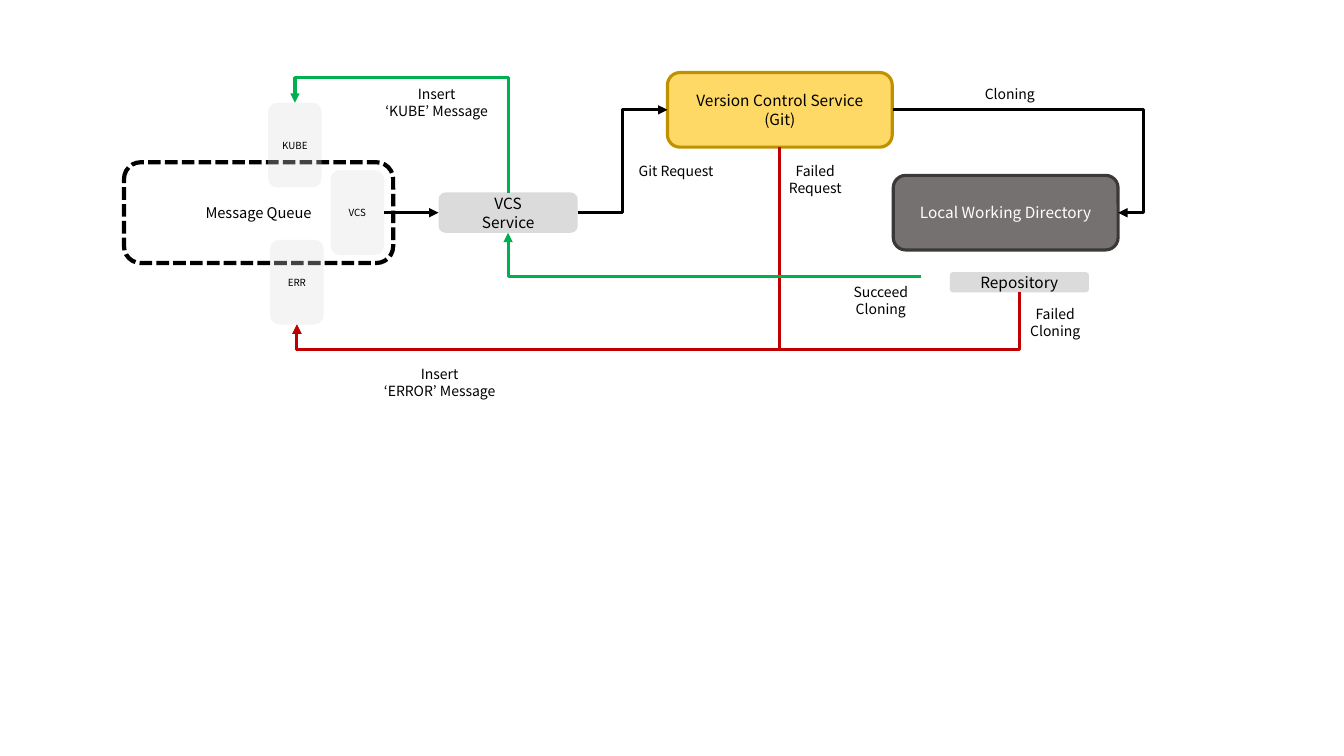
from dataclasses import dataclass

from lxml import etree
from pptx import Presentation
from pptx.dml.color import RGBColor
from pptx.enum.dml import MSO_LINE
from pptx.enum.shapes import MSO_CONNECTOR, MSO_SHAPE
from pptx.enum.text import MSO_ANCHOR, PP_ALIGN
from pptx.oxml.ns import qn
from pptx.util import Inches, Pt

ROUNDED = MSO_SHAPE.ROUNDED_RECTANGLE
STRAIGHT, ELBOW = MSO_CONNECTOR.STRAIGHT, MSO_CONNECTOR.ELBOW
DASH = MSO_LINE.SQUARE_DOT
MIDDLE, CENTER = MSO_ANCHOR.MIDDLE, PP_ALIGN.CENTER


@dataclass(frozen=True)
class Theme:
    font: str = "Noto Sans CJK KR"
    black: str = "000000"
    white: str = "FFFFFF"
    yellow: str = "FFD966"
    gold: str = "BF9000"
    grey: str = "DBDBDB"
    slate: str = "767171"
    charcoal: str = "3B3838"
    green: str = "00B050"
    red: str = "C00000"
    node: float = 11
    queue: float = 10.5
    label: float = 10
    lane: float = 7
    line: float = 2.25
    dashed: float = 3


@dataclass(frozen=True)
class Box:
    x: float
    y: float
    w: float
    h: float

    @property
    def right(self):
        return self.x + self.w, self.y + self.h / 2

    @property
    def left(self):
        return self.x, self.y + self.h / 2

    @property
    def top(self):
        return self.x + self.w / 2, self.y

    @property
    def bottom(self):
        return self.x + self.w / 2, self.y + self.h

    def inches(self):
        return [Inches(v) for v in (self.x, self.y, self.w, self.h)]


T = Theme()
OVERSHOOT = 0.25  # how far a looping arrow runs past its target

QUEUE = Box(1.23, 1.61, 2.67, 1)
SERVICE = Box(4.35, 1.91, 1.38, 0.4)
GIT = Box(6.62, 0.72, 2.23, 0.74)
STORAGE = Box(8.86, 1.74, 2.23, 1.16)

LABELS = [
    ("Cloning", Box(9.52, 0.73, 0.99, 0.4)),
    ("Failed Request", Box(7.59, 1.58, 0.99, 0.4)),
    ("Git Request", Box(6.15, 1.5, 1.11, 0.4)),
    ("Failed Cloning", Box(9.97, 3, 0.99, 0.4)),
    ("Succeed\nCloning", Box(8.24, 2.78, 0.99, 0.4)),
    ("Insert\n‘KUBE’ Message", Box(3.59, 0.82, 1.48, 0.4)),
    ("Insert\n‘ERROR’ Message", Box(3.62, 3.59, 1.48, 0.4)),
]


def rgb(color):
    return RGBColor.from_string(color)


def write(sp, text, size, color):
    tf = sp.text_frame
    tf.word_wrap = True
    tf.vertical_anchor = MIDDLE
    tf.text = text
    for p in tf.paragraphs:
        p.alignment = CENTER
        for r in p.runs:
            r.font.name = T.font
            r.font.size = Pt(size)
            r.font.color.rgb = rgb(color)


def add_node(s, box, text, size=T.node, color=T.black, fill=None, line=None, width=T.line):
    sp = s.shapes.add_shape(ROUNDED, *box.inches())
    sp.shadow.inherit = False
    if fill:
        sp.fill.solid()
        sp.fill.fore_color.rgb = rgb(fill)
    else:
        sp.fill.background()
    if line:
        sp.line.color.rgb = rgb(line)
        sp.line.width = Pt(width)
    else:
        sp.line.fill.background()
    write(sp, text, size, color)
    return sp


def add_lane(s, box, text):
    sp = add_node(s, box, text, T.lane, fill=T.grey)
    clr = sp._element.spPr.find(qn("a:solidFill"))[0]
    etree.SubElement(clr, qn("a:alpha")).set("val", "30000")
    return box


def add_arrow(s, kind, start, end, color):
    c = s.shapes.add_connector(kind, *(Inches(v) for v in (*start, *end)))
    c.line.color.rgb = rgb(color)
    c.line.width = Pt(T.line)
    etree.SubElement(c.line._get_or_add_ln(), qn("a:tailEnd")).set("type", "triangle")
    etree.SubElement(c._element.spPr, qn("a:effectLst"))
    return c


def set_bend(c, length):
    """Move the middle leg OVERSHOOT past the end of a run of the given length."""
    guides = c._element.spPr.find(qn("a:prstGeom")).find(qn("a:avLst"))
    gd = etree.SubElement(guides, qn("a:gd"))
    gd.set("name", "adj1")
    gd.set("fmla", f"val {round(100000 * (1 + OVERSHOOT / length))}")


def add_side_loop(s, start, end, color):
    c = add_arrow(s, ELBOW, start, end, color)
    set_bend(c, end[0] - start[0])


def add_vertical_loop(s, start, end, color):
    """Arrow that leaves vertically, runs left and returns to its target."""
    run, rise = start[0] - end[0], abs(end[1] - start[1])
    down = end[1] > start[1]
    x = (start[0] + end[0] - rise) / 2
    y = (start[1] + end[1] - run) / 2
    y1, y2 = (y, y + run) if down else (y + run, y)
    c = add_arrow(s, ELBOW, (x, y1), (x + rise, y2), color)
    c._element.spPr.find(qn("a:xfrm")).set("rot", str((90 if down else 270) * 60000))
    set_bend(c, rise)


def add_queue(s, box):
    """Draw the queue and return its VCS, ERR and KUBE lanes."""
    def lane(name, dx, dy):
        return add_lane(s, Box(box.x + dx, box.y + dy, 0.53, 0.84), name)

    vcs = lane("VCS", 2.05, 0.08)
    frame = add_node(s, box, "Message Queue", T.queue, line=T.black, width=T.dashed)
    frame.line.dash_style = DASH
    return vcs, lane("ERR", 1.45, 0.77), lane("KUBE", 1.43, -0.59)


def add_storage(s, box):
    """Draw the directory with the repository below it and return both boxes."""
    directory = Box(box.x, box.y, box.w, 0.74)
    repository = Box(box.x + 0.56, box.y + box.h - 0.2, 1.38, 0.2)
    add_node(s, directory, "Local Working Directory", color=T.white,
             fill=T.slate, line=T.charcoal)
    add_node(s, repository, "Repository", fill=T.grey)
    return directory, repository


def add_flows(s, vcs, err, kube, directory, repository):
    add_arrow(s, STRAIGHT, vcs.right, SERVICE.left, T.black)
    add_arrow(s, ELBOW, SERVICE.right, GIT.left, T.black)
    add_side_loop(s, (directory.x, GIT.right[1]), directory.right, T.black)
    for source in (GIT, repository):
        add_vertical_loop(s, source.bottom, err.top[:1] + err.bottom[1:], T.red)
    add_vertical_loop(s, SERVICE.top, kube.top, T.green)
    success = add_arrow(s, ELBOW, (9.14, 2.74), SERVICE.bottom, T.green)
    success._element.spPr.find(qn("a:prstGeom")).set("prst", "bentConnector2")


def add_labels(s):
    for text, box in LABELS:
        write(s.shapes.add_textbox(*box.inches()), text, T.label, T.black)


def main():
    prs = Presentation()
    prs.slide_width, prs.slide_height = Inches(13.33), Inches(7.5)
    s = prs.slides.add_slide(prs.slide_layouts[6])
    lanes = add_queue(s, QUEUE)
    add_node(s, SERVICE, "VCS\nService", fill=T.grey)
    add_node(s, GIT, "Version Control Service\n(Git)", fill=T.yellow, line=T.gold)
    stores = add_storage(s, STORAGE)
    add_flows(s, *lanes, *stores)
    add_labels(s)
    prs.save("out.pptx")


if __name__ == "__main__":
    main()
